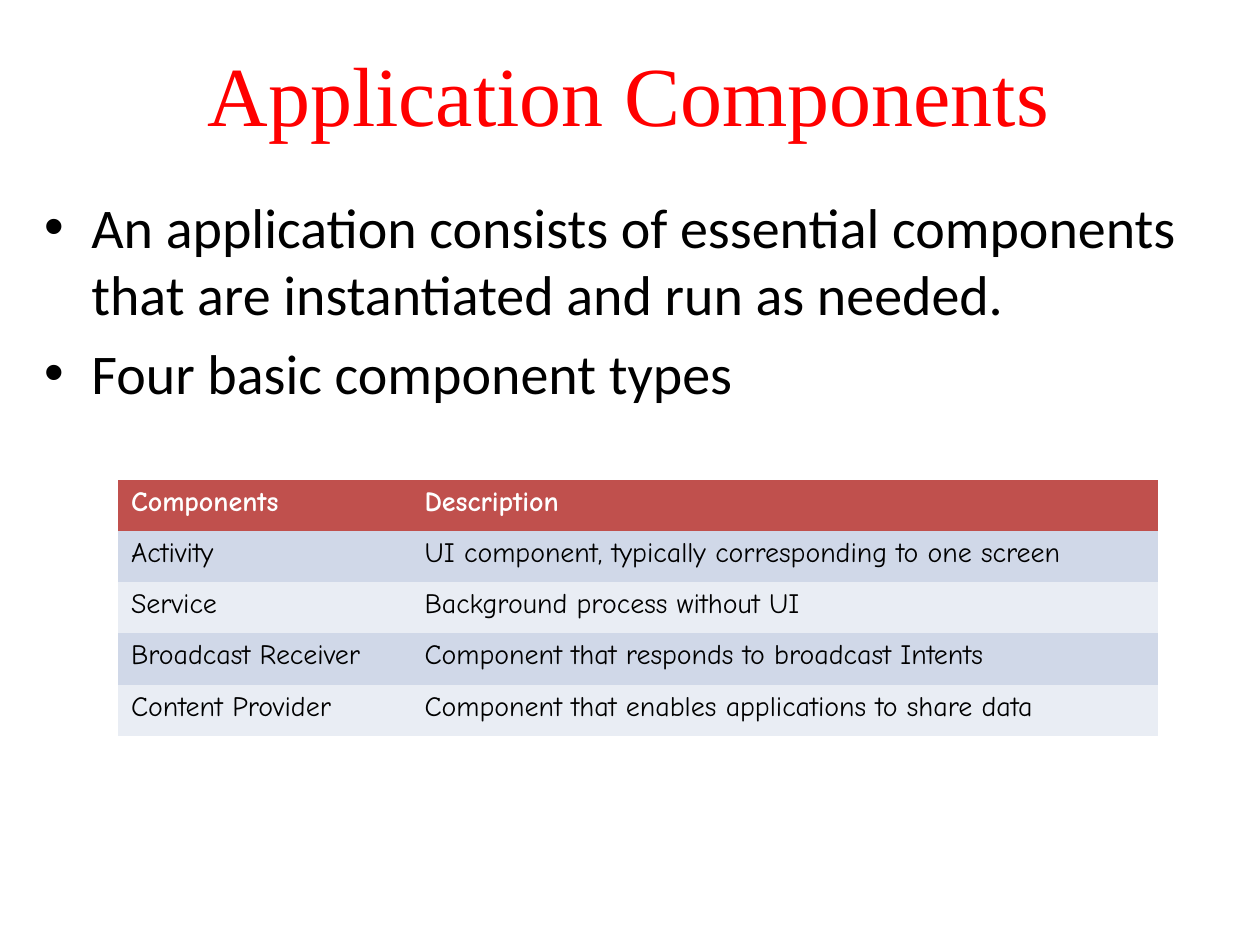
from pptx import Presentation
from pptx.dml.color import RGBColor
from pptx.enum.text import MSO_ANCHOR, PP_ALIGN
from pptx.util import Inches, Pt


def color(value):
    return RGBColor.from_string(value)


def write(paragraph, text, size=32, font="Calibri", ink="000000", bold=False,
          align=PP_ALIGN.LEFT, before=0):
    run = paragraph.add_run()
    run.text = text
    run.font.size = Pt(size)
    run.font.name = font
    run.font.bold = bold
    run.font.color.rgb = color(ink)
    paragraph.alignment = align
    paragraph.space_before = Pt(before)


deck = Presentation()
deck.slide_width, deck.slide_height = Inches(10), Inches(7.5)
slide = deck.slides.add_slide(deck.slide_layouts[1])
heading, points = slide.placeholders

heading.left, heading.top = Inches(0.26), Inches(0.11)
heading.width, heading.height = Inches(9.46), Inches(1.25)
heading.text_frame.vertical_anchor = MSO_ANCHOR.MIDDLE
write(heading.text_frame.paragraphs[0], "Application Components", size=48,
      font="Times New Roman", ink="FF0000", align=PP_ALIGN.CENTER)

points.left, points.top = Inches(0.25), Inches(1.48)
points.width, points.height = Inches(9.48), Inches(5.64)
write(points.text_frame.paragraphs[0],
      "An application consists of essential components that are instantiated and run as needed.")
write(points.text_frame.add_paragraph(), "Four basic component types", before=6.4)

components = [
    ("Components", "Description"),
    ("Activity", "UI component, typically corresponding to one screen"),
    ("Service", "Background process without UI"),
    ("Broadcast Receiver", "Component that responds to broadcast Intents"),
    ("Content Provider", "Component that enables applications to share data"),
]
row_height = 0.406
frame = slide.shapes.add_table(len(components), 2, Inches(0.94), Inches(3.81),
                               Inches(8.25), Inches(row_height * len(components)))
grid = frame.table
no_grid_style = "{2D5ABB26-0587-4C30-8999-92F81FD0307C}"
grid._tbl.tblPr[0].text = no_grid_style
for column, width in zip(grid.columns, (2.33, 5.92)):
    column.width = Inches(width)

for r, entries in enumerate(components):
    header = r == 0
    band = "C0504D" if header else ("E9EDF4", "D0D8E8")[r % 2]
    for c, entry in enumerate(entries):
        cell = grid.cell(r, c)
        cell.fill.solid()
        cell.fill.fore_color.rgb = color(band)
        write(cell.text_frame.paragraphs[0], entry, size=16, font="Comic Neue",
              ink="FFFFFF" if header else "000000", bold=header)

deck.save("out.pptx")
